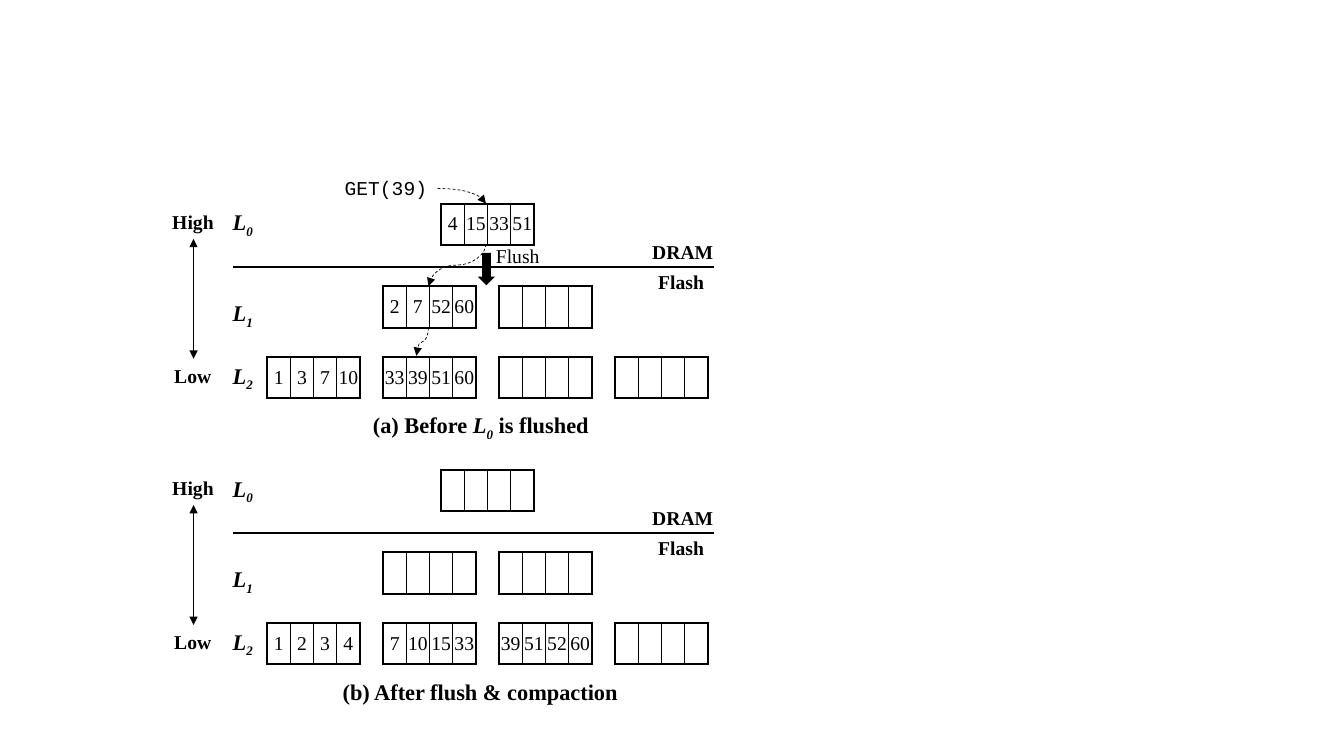
"""Draw an LSM tree before and after its top level is flushed and compacted."""
import pptx
import pptx.dml.color
import pptx.enum.dml
import pptx.enum.shapes
import pptx.enum.text
import pptx.oxml
import pptx.oxml.ns
import pptx.util

COLORS = {"ink": "000000"}
SERIF, MONO = "Times New Roman", "Courier New"
SCALE = 9144
SLOT_LEFT, SLOT_STEP = 265, 115
CELL_WIDTH, CELL_HEIGHT = 23, 41
EMPTY = ("", "", "", "")
LEVEL_TOPS = (202, 284, 354)
FIRST_SLOTS = (1.5, 1, 0)
LEVEL_LABEL_TOPS = (202, 292, 354)
SIDE_LABELS = [
    ("High", 161, 203, 62), ("Low", 163, 356, 57),
    ("DRAM", 637, 233, 81), ("Flash", 643, 263, 66),
]
PANELS = [
    {
        "offset": 0,
        "levels": [
            [("4", "15", "33", "51")],
            [("2", "7", "52", "60"), EMPTY],
            [("1", "3", "7", "10"), ("33", "39", "51", "60"), EMPTY, EMPTY],
        ],
        "caption": [("(a) Before ", ""), ("L", "italic"), ("0", "italic sub"), (" is flushed", "")],
        "caption_box": (360, 403, 243),
    },
    {
        "offset": 264,
        "levels": [
            [EMPTY],
            [EMPTY, EMPTY],
            [("1", "2", "3", "4"), ("7", "10", "15", "33"), ("39", "51", "52", "60"), EMPTY],
        ],
        "caption": [("(b) After flush & compaction", "")],
        "caption_box": (330, 404, 303),
    },
]
LOOKUP_STEPS = [((482, 242), (425, 284)), ((425, 325), (413, 353))]

deck = pptx.Presentation()
deck.slide_width = pptx.util.Inches(13.33)
deck.slide_height = pptx.util.Inches(7.5)
page = deck.slides.add_slide(deck.slide_layouts[6])


def px(*lengths):
    return [pptx.util.Emu(round(length * SCALE)) for length in lengths]


def ink():
    return pptx.dml.color.RGBColor.from_string(COLORS["ink"])


def write(para, text, size=14, font=SERIF, bold=False, style=""):
    span = para.add_run()
    span.text = text
    span.font.size = pptx.util.Pt(size)
    span.font.name = font
    span.font.bold = bold
    span.font.italic = "italic" in style
    span.font.color.rgb = ink()
    if "sub" in style:
        span._r.get_or_add_rPr().set("baseline", "-25000")


def label(spans, left, top, width, size=14, **format):
    box = page.shapes.add_textbox(*px(left, top, width, 34 if size == 14 else 37))
    box.text_frame.word_wrap = False
    box.text_frame.auto_size = pptx.enum.text.MSO_AUTO_SIZE.SHAPE_TO_FIT_TEXT
    for text, style in spans:
        write(box.text_frame.paragraphs[0], text, size=size, style=style, **format)


def border(cell, side, points):
    cell._tc.get_or_add_tcPr().append(pptx.oxml.parse_xml(
        f'<a:ln{side} {pptx.oxml.ns.nsdecls("a")} w="{round(points * 12700)}">'
        f'<a:solidFill><a:srgbClr val="{COLORS["ink"]}"/></a:solidFill></a:ln{side}>'))


def key_table(keys, left, top):
    frame = page.shapes.add_table(
        1, len(keys), *px(left, top, CELL_WIDTH * len(keys), CELL_HEIGHT))
    table = frame.table
    table.first_row = table.horz_banding = False
    table.rows[0].height = px(CELL_HEIGHT)[0]
    for index, key in enumerate(keys):
        table.columns[index].width = px(CELL_WIDTH)[0]
        cell = table.cell(0, index)
        cell.margin_left = cell.margin_right = cell.margin_top = cell.margin_bottom = 0
        cell.vertical_anchor = pptx.enum.text.MSO_ANCHOR.MIDDLE
        border(cell, "L", 1.5 if index == 0 else 1)
        border(cell, "R", 1.5 if index == len(keys) - 1 else 1)
        border(cell, "T", 1.5)
        border(cell, "B", 1.5)
        cell.fill.background()
        if key:
            para = cell.text_frame.paragraphs[0]
            para.alignment = pptx.enum.text.PP_ALIGN.CENTER
            write(para, key)


def connect(start, end, kind="STRAIGHT", points=0.5, dashed=False, heads=()):
    link = page.shapes.add_connector(
        pptx.enum.shapes.MSO_CONNECTOR[kind], *px(*start, *end))
    link.line.color.rgb = ink()
    link.line.width = pptx.util.Pt(points)
    if dashed:
        link.line.dash_style = pptx.enum.dml.MSO_LINE.DASH
    namespace = pptx.oxml.ns.nsdecls("a")
    for head in heads:
        link.line._get_or_add_ln().append(
            pptx.oxml.parse_xml(f'<a:{head} {namespace} type="triangle"/>'))
    link._element.spPr.append(pptx.oxml.parse_xml(f"<a:effectLst {namespace}/>"))
    return link


def curve_down(start, end):
    """Join two points with an S curve that leaves and arrives vertically."""
    middle_x, middle_y = (start[0] + end[0]) / 2, (start[1] + end[1]) / 2
    half_width, half_height = (end[1] - start[1]) / 2, (start[0] - end[0]) / 2
    link = connect((middle_x - half_width, middle_y - half_height),
                   (middle_x + half_width, middle_y + half_height),
                   kind="CURVE", dashed=True, heads=["tailEnd"])
    link._element.spPr.find(pptx.oxml.ns.qn("a:xfrm")).set("rot", "5400000")


def draw_panel(panel):
    offset = panel["offset"]
    for level, tables in enumerate(panel["levels"]):
        for position, keys in enumerate(tables):
            slot = FIRST_SLOTS[level] + position
            key_table(keys, SLOT_LEFT + SLOT_STEP * slot, LEVEL_TOPS[level] + offset)
        label([("L", "italic"), (str(level), "italic sub")],
              221, LEVEL_LABEL_TOPS[level] + offset, 41, size=16, bold=True)
    connect((231, 265 + offset), (708, 265 + offset), points=1.5)
    for text, left, top, width in SIDE_LABELS:
        label([(text, "")], left, top + offset, width, bold=True)
    connect((192, 237 + offset), (192, 356 + offset), heads=["headEnd", "tailEnd"])
    left, top, width = panel["caption_box"]
    label(panel["caption"], left, top + offset, width, size=16, bold=True)


def draw_lookup():
    arrow = page.shapes.add_shape(
        pptx.enum.shapes.MSO_SHAPE.DOWN_ARROW, *px(474, 251, 17, 32))
    arrow.shadow.inherit = False
    arrow.fill.solid()
    arrow.fill.fore_color.rgb = ink()
    arrow.line.fill.background()
    label([("Flush", "")], 482, 237, 64)
    label([("GET(39)", "")], 332, 170, 102, font=MONO)
    entry = connect((434, 187), (482, 202), kind="CURVE", dashed=True, heads=["tailEnd"])
    entry._element.spPr.find(pptx.oxml.ns.qn("a:prstGeom")).set("prst", "curvedConnector2")
    for start, end in LOOKUP_STEPS:
        curve_down(start, end)


for panel in PANELS:
    draw_panel(panel)
draw_lookup()
deck.save("out.pptx")
